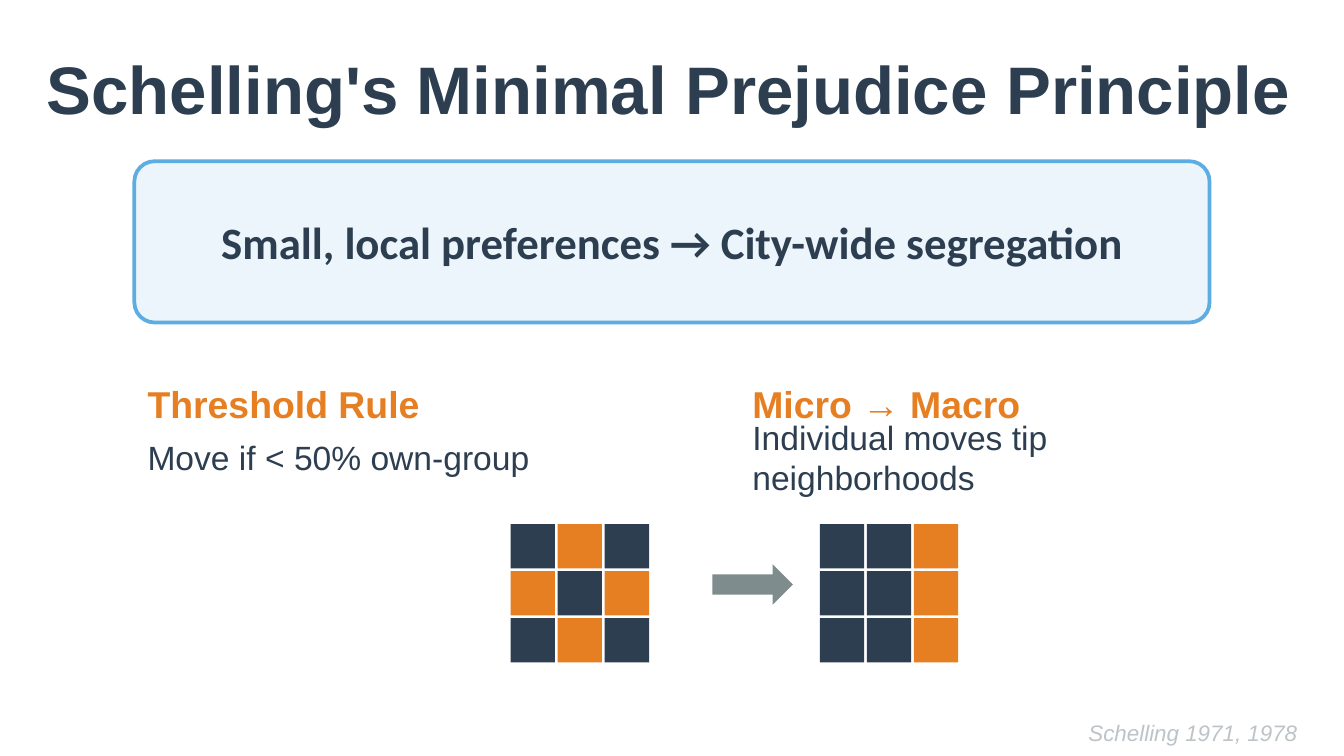
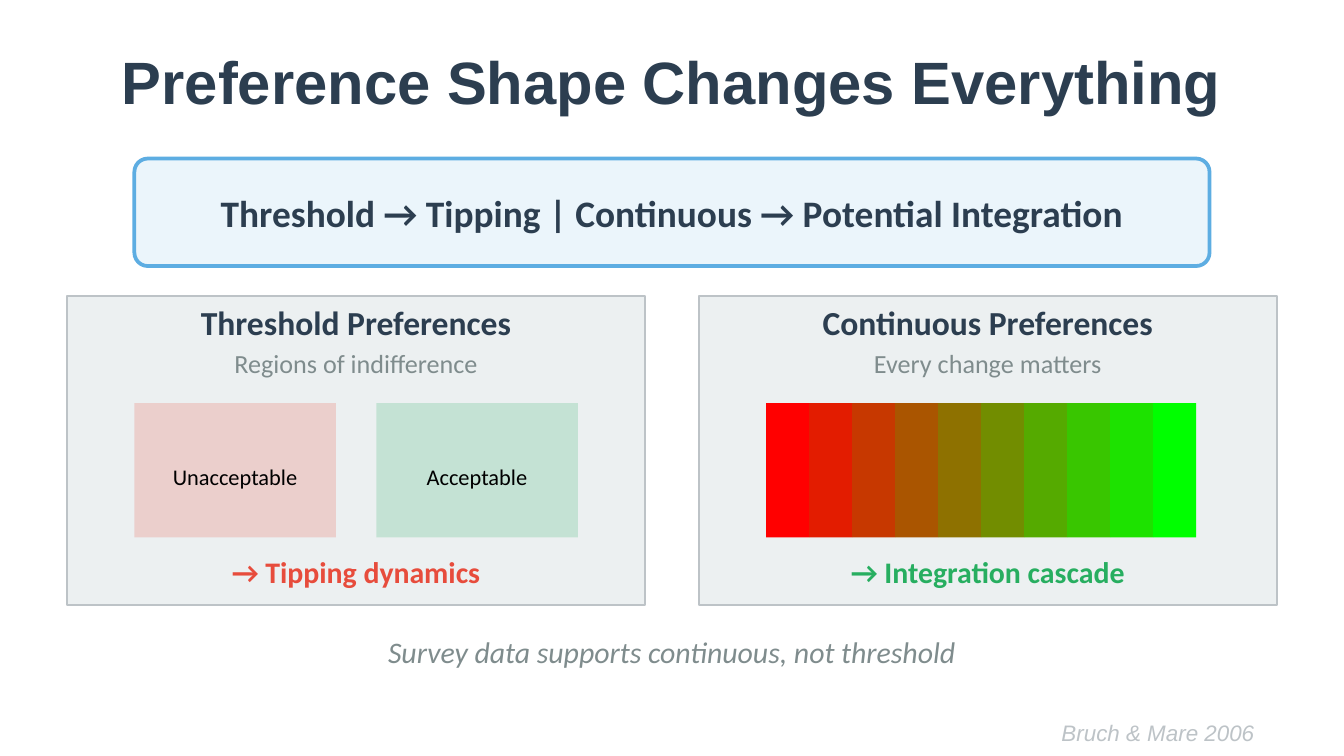
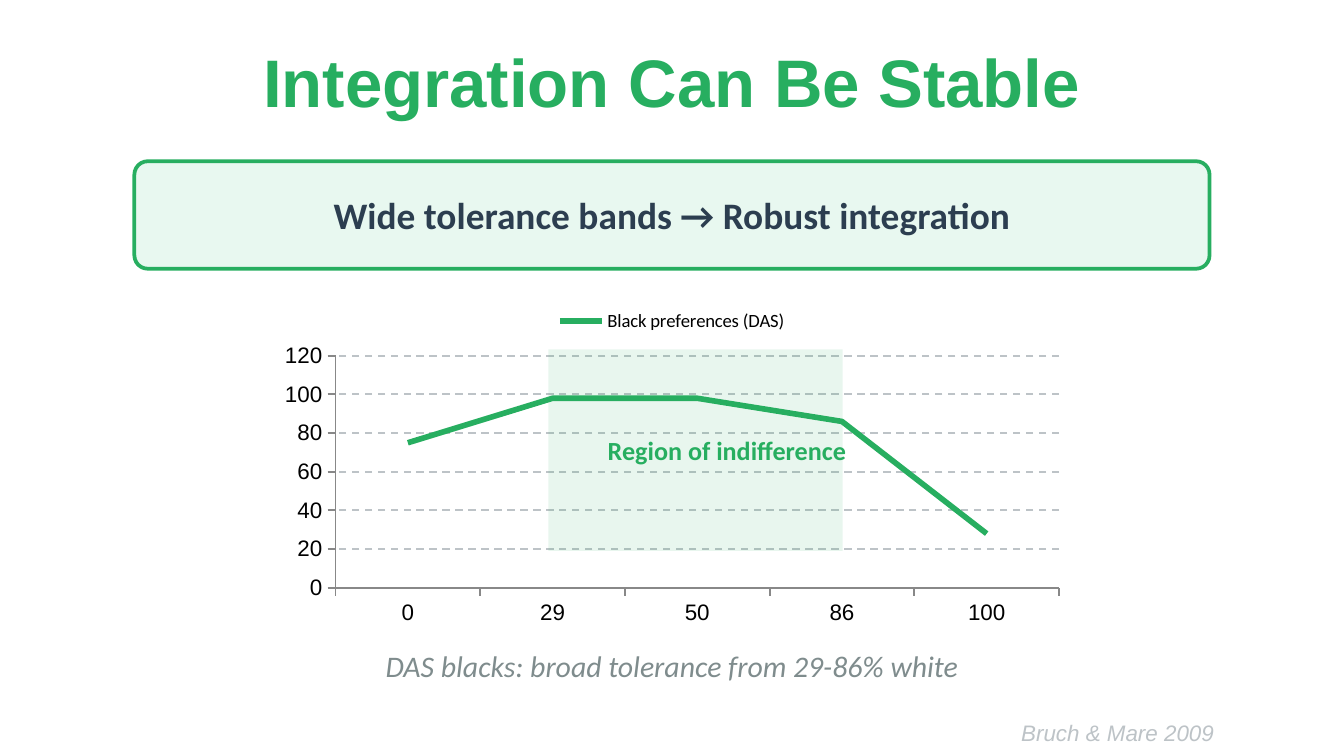
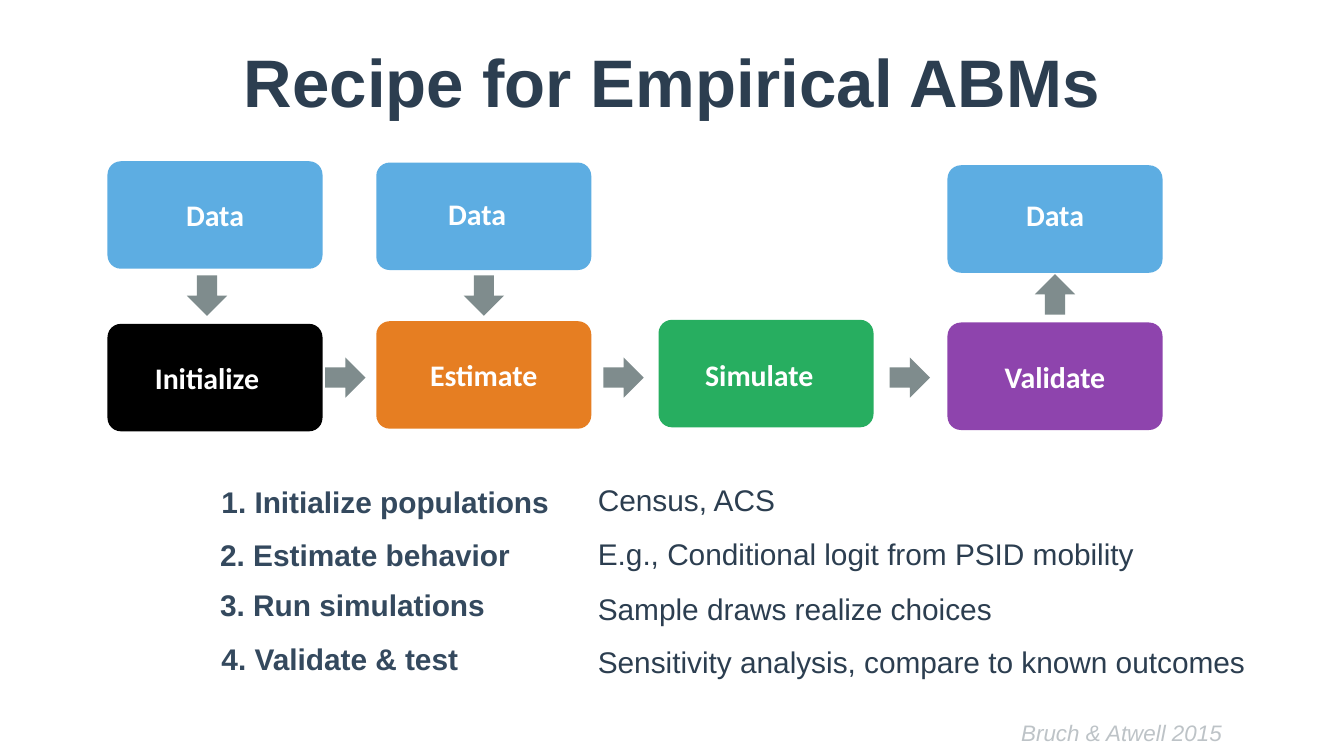
from dataclasses import dataclass
from itertools import product

from lxml.etree import SubElement
from pptx import Presentation
from pptx.chart.data import CategoryChartData as ChartData
from pptx.dml.color import RGBColor as Rgb
from pptx.enum.chart import XL_CHART_TYPE as ChartType, XL_LEGEND_POSITION as LegendPosition
from pptx.enum.chart import XL_MARKER_STYLE as Marker, XL_TICK_MARK as Tick
from pptx.enum.dml import MSO_LINE as Dash
from pptx.enum.shapes import MSO_SHAPE as Preset
from pptx.enum.text import MSO_ANCHOR as Anchor, PP_ALIGN as Align
from pptx.oxml.ns import qn
from pptx.util import Emu, Pt

PX = 9144  # EMU per px, 100 px to the inch
WIDTH = 1000


@dataclass(frozen=True)
class Theme:
    # Colours
    ink: str = "2C3E50"
    slate: str = "34495E"
    orange: str = "E67E22"
    sky: str = "5DADE2"
    green: str = "27AE60"
    red: str = "E74C3C"
    purple: str = "8E44AD"
    gray: str = "7F8C8D"
    silver: str = "BDC3C7"
    axis: str = "888888"
    panel: str = "ECF0F1"
    pale_blue: str = "EBF5FB"
    pale_green: str = "E8F8F0"
    black: str = "000000"
    white: str = "FFFFFF"
    # Fonts and type sizes
    sans: str = "Arial"
    body: str = "Calibri"
    title: int = 36
    title_small: int = 32
    key: int = 24
    heading: int = 20
    subheading: int = 18
    text: int = 16
    label: int = 14
    small: int = 12
    legend: int = 10


THEME = Theme()

# ---- Content: Schelling ----
RULES = [
    (100, "Threshold Rule", "Move if < 50% own-group"),
    (550, "Micro → Macro", "Individual moves tip neighborhoods"),
]
NEIGHBORHOODS = [
    (380, ["XOX", "OXO", "XOX"]),
    (610, ["XXO", "XXO", "XXO"]),
]
GROUP_COLORS = {"X": THEME.ink, "O": THEME.orange}

# ---- Content: preference shapes ----
PANELS = [
    (50, "Threshold Preferences", "Regions of indifference", "→ Tipping dynamics", THEME.red),
    (520, "Continuous Preferences", "Every change matters", "→ Integration cascade", THEME.green),
]
REGIONS = [(100, "Unacceptable", THEME.red), (280, "Acceptable", THEME.green)]
GRADIENT_STEPS = 10

# ---- Content: tolerance chart ----
WHITE_SHARES = ["0", "29", "50", "86", "100"]
SERIES_NAME = "Black preferences (DAS)"
PREFERENCES = [75, 98, 98, 86, 28]

# ---- Content: recipe; box left and top, label left and top ----
RECIPE_BOXES = [
    ("Data", 80, 120, 80, 135, THEME.sky),
    ("Data", 280, 121, 275, 134, THEME.sky),
    ("Data", 705, 123, 705, 135, THEME.sky),
    ("Initialize", 80, 241, 74, 256, THEME.black),
    ("Estimate", 280, 239, 280, 254, THEME.orange),
    ("Simulate", 490, 238, 485, 254, THEME.green),
    ("Validate", 705, 240, 705, 255, THEME.purple),
]
RECIPE_ARROWS = [
    (139, 205, 90), (345, 205, 90), (770, 204, 270),
    (242, 266, 0), (449, 266, 0), (662, 266, 0),
]
RECIPE_STEPS = [
    (155, 358, "1. Initialize populations", 357, "Census, ACS"),
    (154, 398, "2. Estimate behavior", 397, "E.g., Conditional logit from PSID mobility"),
    (154, 435, "3. Run simulations", 438, "Sample draws realize choices"),
    (155, 475, "4. Validate & test", 477, "Sensitivity analysis, compare to known outcomes"),
]


# ---- Drawing helpers ----
def place(*lengths):
    return [Emu(length * PX) for length in lengths]


def style_font(font, size, color, name, bold=False, italic=False):
    font.size, font.name, font.bold, font.italic = Pt(size), name, bold, italic
    font.color.rgb = Rgb.from_string(color)


def add_text(slide, box, text, size, color=THEME.ink, name=THEME.body,
             align=Align.CENTER, bold=False, italic=False):
    text_frame = slide.shapes.add_textbox(*place(*box)).text_frame
    text_frame.word_wrap = True
    text_frame.vertical_anchor = Anchor.MIDDLE
    text_frame.text = text
    paragraph = text_frame.paragraphs[0]
    paragraph.alignment = align
    style_font(paragraph.runs[0].font, size, color, name, bold, italic)


def add_sans(slide, box, text, size, color=THEME.ink, bold=False, italic=False):
    add_text(slide, box, text, size, color, THEME.sans, Align.LEFT, bold, italic)


def add_shape(slide, preset, box, fill, line=None, line_width=1, opacity=None):
    shape = slide.shapes.add_shape(preset, *place(*box))
    shape.shadow.inherit = False
    shape.fill.solid()
    shape.fill.fore_color.rgb = Rgb.from_string(fill)
    if opacity is not None:
        color = shape.element.spPr.find(qn("a:solidFill"))[0]
        SubElement(color, qn("a:alpha"), val=str(opacity * 1000))
    if line:
        shape.line.color.rgb = Rgb.from_string(line)
        shape.line.width = Pt(line_width)
    else:
        shape.line.fill.background()
    return shape


def add_rounded(slide, box, fill, line=None):
    add_shape(slide, Preset.ROUNDED_RECTANGLE, box, fill, line, 2).adjustments[0] = 0.125


def add_slide(presentation, title, source, source_box, size=THEME.title, color=THEME.ink,
              title_box=(50, 30, 900, 60), align=Align.CENTER):
    slide = presentation.slides.add_slide(presentation.slide_layouts[6])
    add_text(slide, title_box, title, size, color, THEME.sans, align, bold=True)
    left, width = source_box
    add_sans(slide, (left, 530, width, 30), source, THEME.small, THEME.silver, italic=True)
    return slide


def add_banner(slide, top, height, text, label_box, size=THEME.heading,
               fill=THEME.pale_blue, line=THEME.sky):
    add_rounded(slide, (100, top, 800, height), fill, line)
    add_text(slide, label_box, text, size, bold=True)


def add_takeaway(slide, top, text):
    add_text(slide, (100, top, 800, 30), text, THEME.text, THEME.gray, italic=True)


# ---- Slides ----
def build_schelling(presentation):
    slide = add_slide(presentation, "Schelling's Minimal Prejudice Principle",
                      "Schelling 1971, 1978", (800, 180),
                      title_box=(25, 30, 950, 70), align=Align.LEFT)
    add_banner(slide, 120, 120, "Small, local preferences → City-wide segregation",
               (150, 150, 700, 60), THEME.key)
    for left, heading, rule in RULES:
        add_sans(slide, (left, 280, 350, 40), heading, THEME.heading, THEME.orange, bold=True)
        add_sans(slide, (left, 320, 350, 40), rule, THEME.subheading)

    # Neighborhood grids before and after
    cell, pitch = 33, 35
    for left, rows in NEIGHBORHOODS:
        for row, column in product(range(3), repeat=2):
            box = (left + column * pitch, 390 + row * pitch, cell, cell)
            add_shape(slide, Preset.RECTANGLE, box, GROUP_COLORS[rows[row][column]])
    add_shape(slide, Preset.RIGHT_ARROW, (530, 420, 60, 30), THEME.gray)


def build_preferences(presentation):
    slide = add_slide(presentation, "Preference Shape Changes Everything",
                      "Bruch & Mare 2006", (780, 200), THEME.title_small)
    add_banner(slide, 118, 80, "Threshold → Tipping | Continuous → Potential Integration",
               (100, 138, 800, 40))
    for left, heading, note, outcome, color in PANELS:
        add_shape(slide, Preset.RECTANGLE, (left, 220, 430, 230), THEME.panel, THEME.silver)
        add_text(slide, (left, 225, 430, 30), heading, THEME.subheading, bold=True)
        add_text(slide, (left, 255, 430, 30), note, THEME.label, THEME.gray)
        add_text(slide, (left, 410, 430, 30), outcome, THEME.text, color, bold=True)

    # Two flat regions against a continuous scale
    for left, label, color in REGIONS:
        add_shape(slide, Preset.RECTANGLE, (left, 300, 150, 100), color, opacity=20)
        add_text(slide, (left, 340, 150, 30), label, THEME.small, THEME.black)
    for step in range(GRADIENT_STEPS):
        green = 255 * step // (GRADIENT_STEPS - 1)
        add_shape(slide, Preset.RECTANGLE, (570 + step * 32, 300, 32, 100),
                  f"{255 - green:02X}{green:02X}00")
    add_takeaway(slide, 470, "Survey data supports continuous, not threshold")


def add_preference_chart(slide):
    data = ChartData()
    data.categories = WHITE_SHARES
    data.add_series(SERIES_NAME, PREFERENCES)
    chart = slide.shapes.add_chart(ChartType.LINE, *place(200, 220, 600, 250), data).chart
    style_font(chart.font, THEME.legend, THEME.black, THEME.body)
    chart.has_title = False
    chart.has_legend = True
    chart.legend.position = LegendPosition.TOP
    chart.legend.include_in_layout = False

    plot = chart.plots[0]
    plot.vary_by_categories = False
    series = plot.series[0]
    series.smooth = False
    series.marker.style = Marker.NONE
    series.format.line.color.rgb = Rgb.from_string(THEME.green)
    series.format.line.width = Pt(3)

    for axis in (chart.category_axis, chart.value_axis):
        style_font(axis.tick_labels.font, THEME.small, THEME.black, THEME.sans)
        axis.major_tick_mark, axis.minor_tick_mark = Tick.OUTSIDE, Tick.NONE
        axis.format.line.color.rgb = Rgb.from_string(THEME.axis)
        axis.format.line.width = Pt(1)
    chart.category_axis.has_major_gridlines = False
    chart.value_axis.has_major_gridlines = True
    grid_line = chart.value_axis.major_gridlines.format.line
    grid_line.color.rgb = Rgb.from_string(THEME.silver)
    grid_line.width = Pt(1)
    grid_line.dash_style = Dash.DASH


def build_stability(presentation):
    slide = add_slide(presentation, "Integration Can Be Stable",
                      "Bruch & Mare 2009", (750, 230), color=THEME.green)
    add_banner(slide, 120, 80, "Wide tolerance bands → Robust integration",
               (100, 140, 800, 40), fill=THEME.pale_green, line=THEME.green)
    add_preference_chart(slide)
    add_shape(slide, Preset.RECTANGLE, (408, 260, 219, 150), THEME.green, opacity=10)
    add_text(slide, (416, 320, 250, 30), "Region of indifference", THEME.label,
             THEME.green, bold=True)
    add_takeaway(slide, 480, "DAS blacks: broad tolerance from 29-86% white")


def build_recipe(presentation):
    slide = add_slide(presentation, "Recipe for Empirical ABMs",
                      "Bruch & Atwell 2015", (750, 230))
    for label, left, top, label_left, label_top, color in RECIPE_BOXES:
        add_rounded(slide, (left, top, 160, 80), color)
        add_text(slide, (label_left, label_top, 160, 50), label, THEME.text,
                 THEME.white, bold=True)
    for left, top, rotation in RECIPE_ARROWS:
        arrow = add_shape(slide, Preset.RIGHT_ARROW, (left, top, 30, 30), THEME.gray)
        arrow.rotation = rotation
    for left, step_top, step, detail_top, detail in RECIPE_STEPS:
        add_sans(slide, (left, step_top, 300, 30), step, THEME.text, THEME.slate, bold=True)
        add_sans(slide, (435, detail_top, 522, 30), detail, THEME.text)


def main():
    presentation = Presentation()
    presentation.slide_width = Emu(WIDTH * PX)
    presentation.slide_height = Emu(WIDTH * PX * 9 // 16)
    for build in (build_schelling, build_preferences, build_stability, build_recipe):
        build(presentation)
    presentation.save("out.pptx")


if __name__ == "__main__":
    main()
